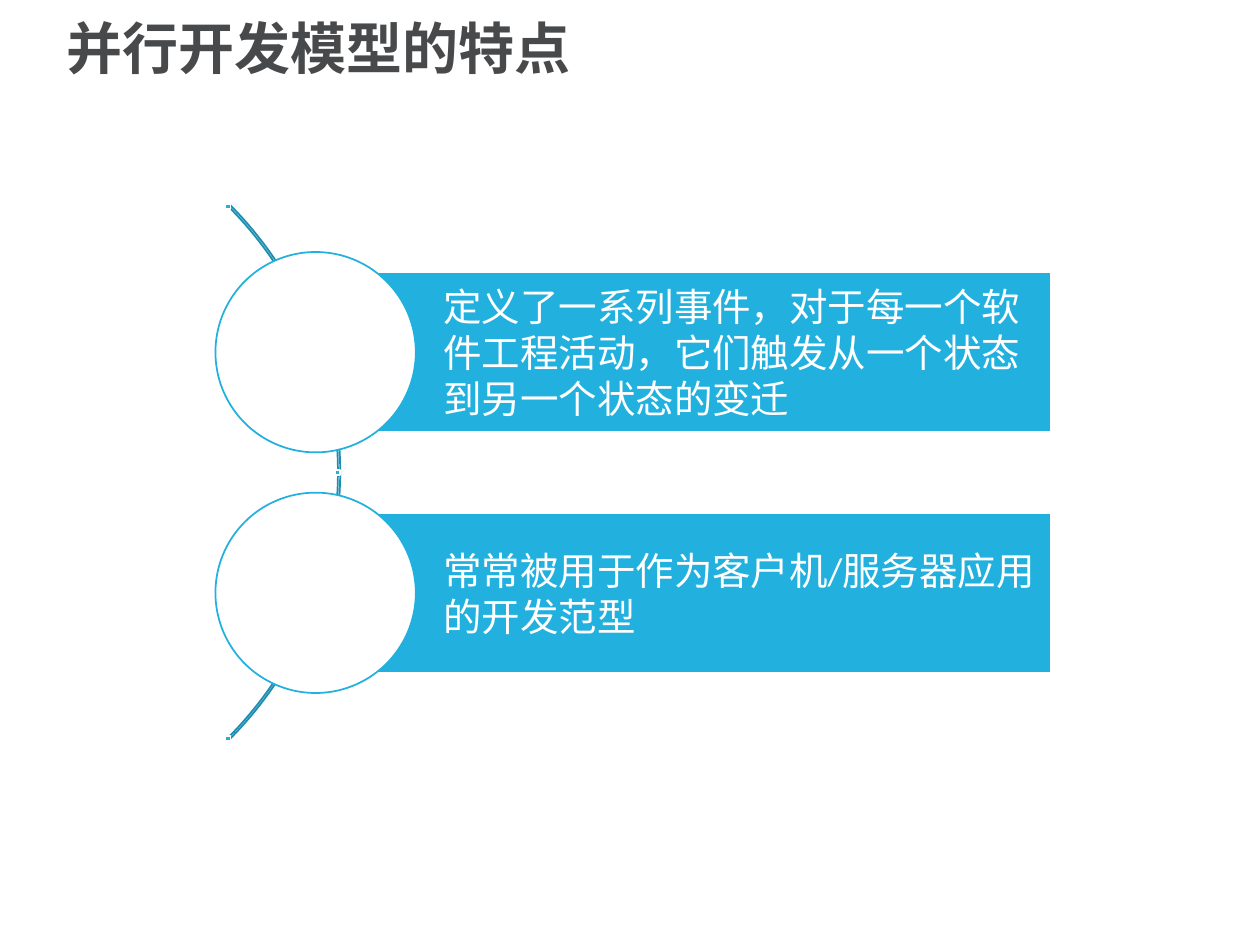
from lxml.etree import SubElement
from pptx import Presentation
from pptx.dml.color import RGBColor
from pptx.enum.shapes import MSO_SHAPE
from pptx.enum.text import MSO_ANCHOR, PP_ALIGN
from pptx.oxml.ns import qn
from pptx.util import Inches, Pt

HUES = {"title": "47494B", "arc": "1B8EB2", "blue": "22B1DE", "white": "FFFFFF"}


class Deck:
    def __init__(self):
        self.prs = Presentation()
        self.prs.slide_width = Inches(10)
        self.prs.slide_height = Inches(7.5)
        self.slide = self.prs.slides.add_slide(self.prs.slide_layouts[6])

    def hue(self, name):
        return RGBColor.from_string(HUES[name])

    def shape(self, kind, box, fill, line):
        item = self.slide.shapes.add_shape(kind, *map(Inches, box))
        item.shadow.inherit = False
        if fill:
            item.fill.solid()
            item.fill.fore_color.rgb = self.hue(fill)
        else:
            item.fill.background()
        item.line.color.rgb = self.hue(line)
        item.line.width = Pt(1)
        return item

    def label(self, item, text, face, size, hue, bold=False, pads=(0.1, 0.05)):
        frame = item.text_frame
        frame.word_wrap = True
        frame.vertical_anchor = MSO_ANCHOR.MIDDLE
        left, rest = pads
        frame.margin_left = Inches(left)
        frame.margin_right = Inches(rest)
        frame.margin_top = frame.margin_bottom = Inches(rest)
        para = frame.paragraphs[0]
        para.text = text
        para.alignment = PP_ALIGN.LEFT
        font = para.font
        font.name = face
        font.size = Pt(size)
        font.bold = bold
        font.color.rgb = self.hue(hue)
        base = para._p.pPr.find(qn("a:defRPr"))
        SubElement(base, qn("a:ea")).set("typeface", face)
        return para

    def title(self, text):
        box = self.slide.shapes.add_textbox(*map(Inches, (0.43, 0.06, 9.05, 0.7)))
        para = self.label(box, text, "Noto Sans CJK SC", 32, "title", True)
        para.line_spacing = 0.9

    def arc(self):
        arc = self.shape(MSO_SHAPE.BLOCK_ARC, (-3.31, 0.74, 6.01, 6.01), None, "arc")
        for spot, value in enumerate((189, 27, 0.003)):
            arc.adjustments[spot] = value

    def point(self, top, text):
        bar = self.shape(MSO_SHAPE.RECTANGLE, (2.51, top, 5.83, 1.27), "blue", "white")
        self.label(bar, text, "Calibri", 22, "white", pads=(1.01, 0.06))
        self.shape(MSO_SHAPE.OVAL, (1.71, top - 0.16, 1.59, 1.59), "white", "blue")

    def dot(self, left, top):
        self.shape(MSO_SHAPE.RECTANGLE, (left, top, 0.04, 0.04), "blue", "white")


def main():
    deck = Deck()
    deck.title("并行开发模型的特点")
    deck.arc()
    points = (
        "定义了一系列事件，对于每一个软件工程活动，它们触发从一个状态到另一个状态的变迁",
        "常常被用于作为客户机/服务器应用的开发范型",
    )
    for row, text in enumerate(points):
        deck.point(2.16 + 1.91 * row, text)
    for row, left in enumerate((1.79, 2.66, 1.79)):
        deck.dot(left, 1.62 + 2.11 * row)
    deck.prs.save("out.pptx")


if __name__ == "__main__":
    main()
